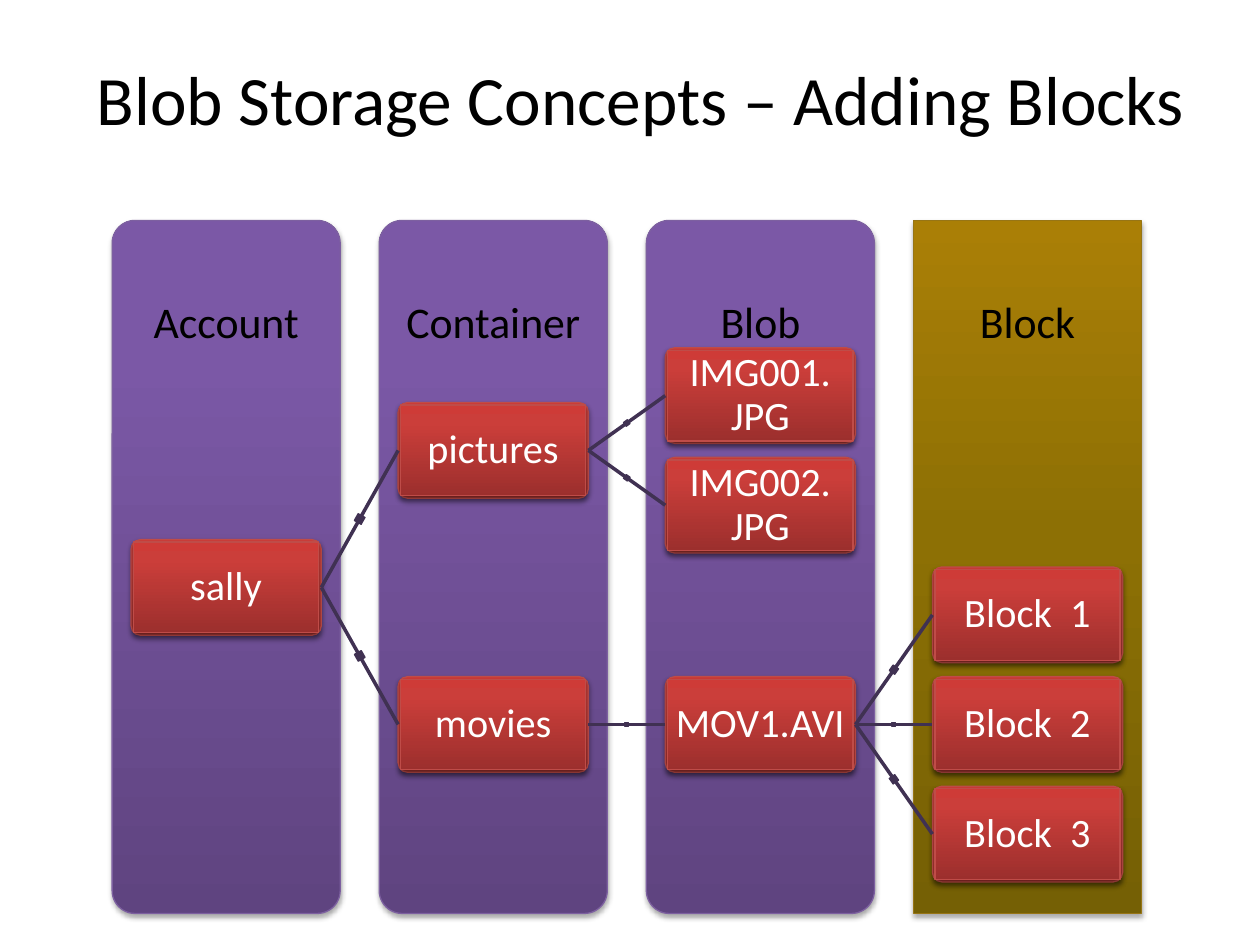
from copy import deepcopy
from dataclasses import dataclass
from math import atan2, degrees, hypot

from pptx import Presentation
from pptx.dml.color import RGBColor as RGB
from pptx.enum.shapes import MSO_CONNECTOR as CONNECTOR, MSO_SHAPE as SHAPE
from pptx.enum.text import MSO_ANCHOR as ANCHOR, PP_ALIGN as ALIGN
from pptx.oxml import parse_xml
from pptx.oxml.ns import nsdecls, qn
from pptx.util import Inches, Pt

SHADOW = (
    f'<a:outerShdw {nsdecls("a")} blurRad="{Pt(3.1)}" dist="{Pt(1.8)}" dir="5400000" rotWithShape="0">'
    '<a:srgbClr val="000000"><a:alpha val="35000"/></a:srgbClr></a:outerShdw>'
)


@dataclass(frozen=True)
class Paint:
    stops: tuple
    line: str


@dataclass(frozen=True)
class Theme:
    font: str = "Calibri"
    title_size: float = 39.6
    label_size: float = 25
    node_size: float = 23
    dark: str = "000000"
    light: str = "FFFFFF"
    link: str = "403152"
    purple: Paint = Paint(((0, "5F4480"), (0.8, "7B58A6"), (1, "7C57A8")), "7D60A0")
    gold: Paint = Paint(((0, "756005"), (0.55, "8D7005"), (1, "AA7F06")), "977515")
    red: Paint = Paint(((0, "9C2F2D"), (0.8, "CB3E3A"), (1, "CE3B37")), "BF4C48")


COLUMN_LEFT, COLUMN_STEP, COLUMN_TOP = 0.89, 2.12, 1.75
COLUMN_W, COLUMN_H, LABEL_H = 1.81, 5.5, 1.65
NODE_INDENT, NODE_TOP, ROW_STEP = 0.15, 2.76, 0.87
NODE_W, NODE_H, NODE_RIM = 1.51, 0.76, 0.02

COLUMNS = ["Account", "Container", "Blob", "Block"]
TREE = ("sally", [
    ("pictures", [("IMG001.\nJPG", []), ("IMG002.\nJPG", [])]),
    ("movies", [("MOV1.AVI", [(f"Block  {n}", []) for n in (1, 2, 3)])]),
])


class Deck:
    def __init__(self, theme):
        self.theme = theme
        self.prs = Presentation()
        self.prs.slide_width, self.prs.slide_height = Inches(10), Inches(7.5)
        self.slide = self.prs.slides.add_slide(self.prs.slide_layouts[5])
        self.leaves = 0

    def set_text(self, sp, text, size, color, spacing=None):
        tf = sp.text_frame
        tf.word_wrap = True
        tf.vertical_anchor = ANCHOR.MIDDLE
        p = tf.paragraphs[0]
        p.text = text
        p.alignment = ALIGN.CENTER
        p.line_spacing = spacing
        p.font.name = self.theme.font
        p.font.size = Pt(size)
        p.font.color.rgb = RGB.from_string(color)
        return tf

    def title(self, text):
        sp = self.slide.shapes.title
        sp.left, sp.top, sp.width, sp.height = map(Inches, (0.42, 0.17, 9.33, 1.21))
        self.set_text(sp, text, self.theme.title_size, self.theme.dark)

    def panel(self, kind, x, y, w, h, paint):
        sp = self.slide.shapes.add_shape(kind, *map(Inches, (x, y, w, h)))
        if kind == SHAPE.ROUNDED_RECTANGLE:
            sp.adjustments[0] = 0.1
        sp.fill.gradient()
        sp.fill.gradient_angle = 90
        stop_list = sp._element.spPr.find(".//" + qn("a:gsLst"))
        stop_list.append(deepcopy(stop_list[-1]))
        for stop, (position, color) in zip(sp.fill.gradient_stops, paint.stops):
            stop.position = position
            stop.color.rgb = RGB.from_string(color)
        sp.line.color.rgb = RGB.from_string(paint.line)
        sp.line.width = Pt(0.75)
        sp.shadow.inherit = False
        sp._element.spPr.find(qn("a:effectLst")).append(parse_xml(SHADOW))
        return sp

    def column(self, index, label):
        x = COLUMN_LEFT + COLUMN_STEP * index
        last = index == len(COLUMNS) - 1
        kind = SHAPE.RECTANGLE if last else SHAPE.ROUNDED_RECTANGLE
        paint = self.theme.gold if last else self.theme.purple
        self.panel(kind, x, COLUMN_TOP, COLUMN_W, COLUMN_H, paint)
        box = self.slide.shapes.add_textbox(*map(Inches, (x, COLUMN_TOP, COLUMN_W, LABEL_H)))
        tf = self.set_text(box, label, self.theme.label_size, self.theme.dark, 0.9)
        tf.margin_left = tf.margin_right = tf.margin_top = tf.margin_bottom = Inches(0.19)

    def node(self, depth, row, text):
        x = COLUMN_LEFT + COLUMN_STEP * depth + NODE_INDENT
        y = NODE_TOP + ROW_STEP * row
        red = self.theme.red
        card = self.panel(SHAPE.ROUNDED_RECTANGLE, x, y, NODE_W, NODE_H, red)
        face = self.panel(SHAPE.RECTANGLE, x + NODE_RIM, y + NODE_RIM,
                          NODE_W - 2 * NODE_RIM, NODE_H - 2 * NODE_RIM, red)
        tf = self.set_text(face, text, self.theme.node_size, self.theme.light, 0.9)
        tf.margin_left = tf.margin_right = 0
        return card

    def link(self, parent, child):
        color = RGB.from_string(self.theme.link)
        line = self.slide.shapes.add_connector(CONNECTOR.STRAIGHT, 0, 0, 0, 0)
        line.begin_connect(parent, 3)
        line.end_connect(child, 1)
        line.line.color.rgb = color
        line.line.width = Pt(2)
        line._element.spPr.append(parse_xml(f'<a:effectLst {nsdecls("a")}/>'))

        dx, dy = line.end_x - line.begin_x, line.end_y - line.begin_y
        size = int(hypot(dx, dy) / 20)
        left = (line.begin_x + line.end_x - size) // 2
        top = (line.begin_y + line.end_y - size) // 2
        knot = self.slide.shapes.add_shape(SHAPE.RECTANGLE, left, top, size, size)
        knot.rotation = degrees(atan2(dy, dx))
        knot.fill.solid()
        knot.fill.fore_color.rgb = color
        knot.line.color.rgb = color
        knot.line.width = Pt(0.75)
        knot.shadow.inherit = False

    def tree(self, branch, depth=0):
        text, branches = branch
        children = [self.tree(b, depth + 1) for b in branches]
        if children:
            row = sum(r for _, r in children) / len(children)
        else:
            row = self.leaves
            self.leaves += 1
        card = self.node(depth, row, text)
        for child, _ in children:
            self.link(card, child)
        return card, row


def main():
    deck = Deck(Theme())
    deck.title("Blob Storage Concepts – Adding Blocks")
    for index, label in enumerate(COLUMNS):
        deck.column(index, label)
    deck.tree(TREE)
    deck.prs.save("out.pptx")


if __name__ == "__main__":
    main()
